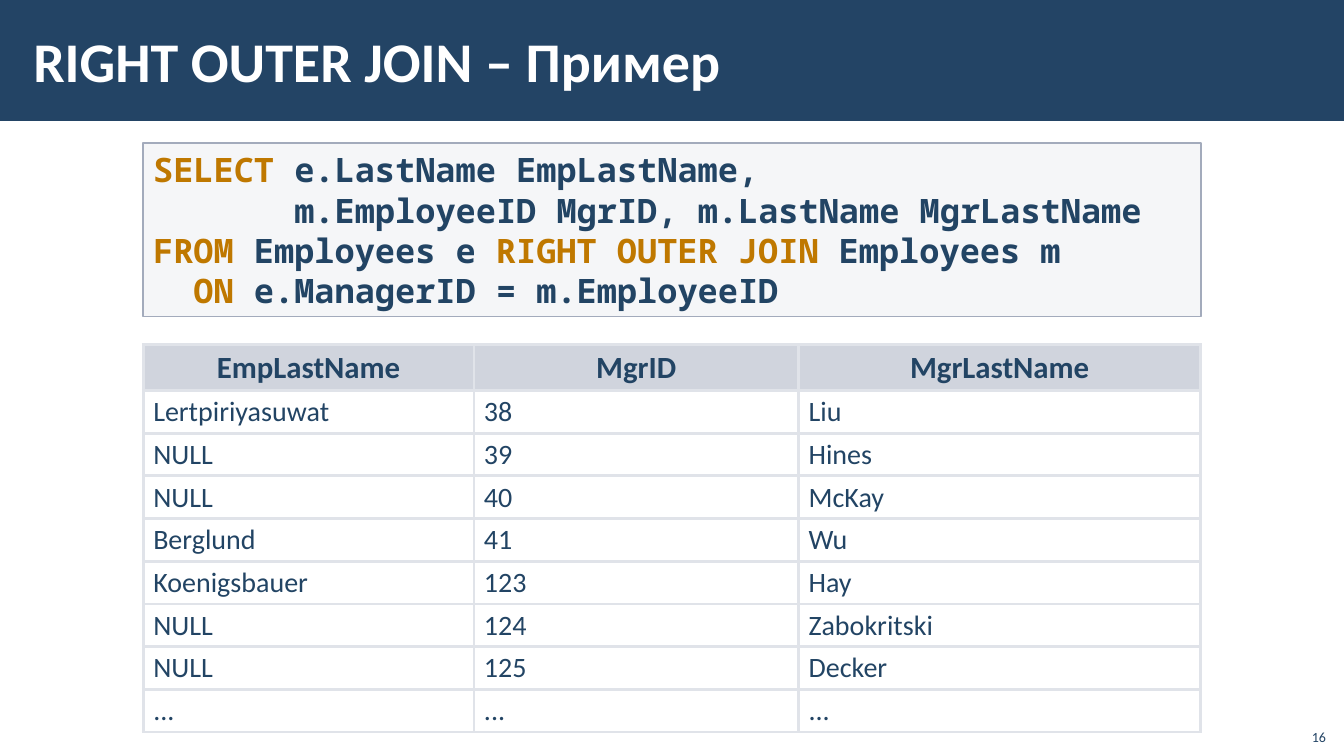
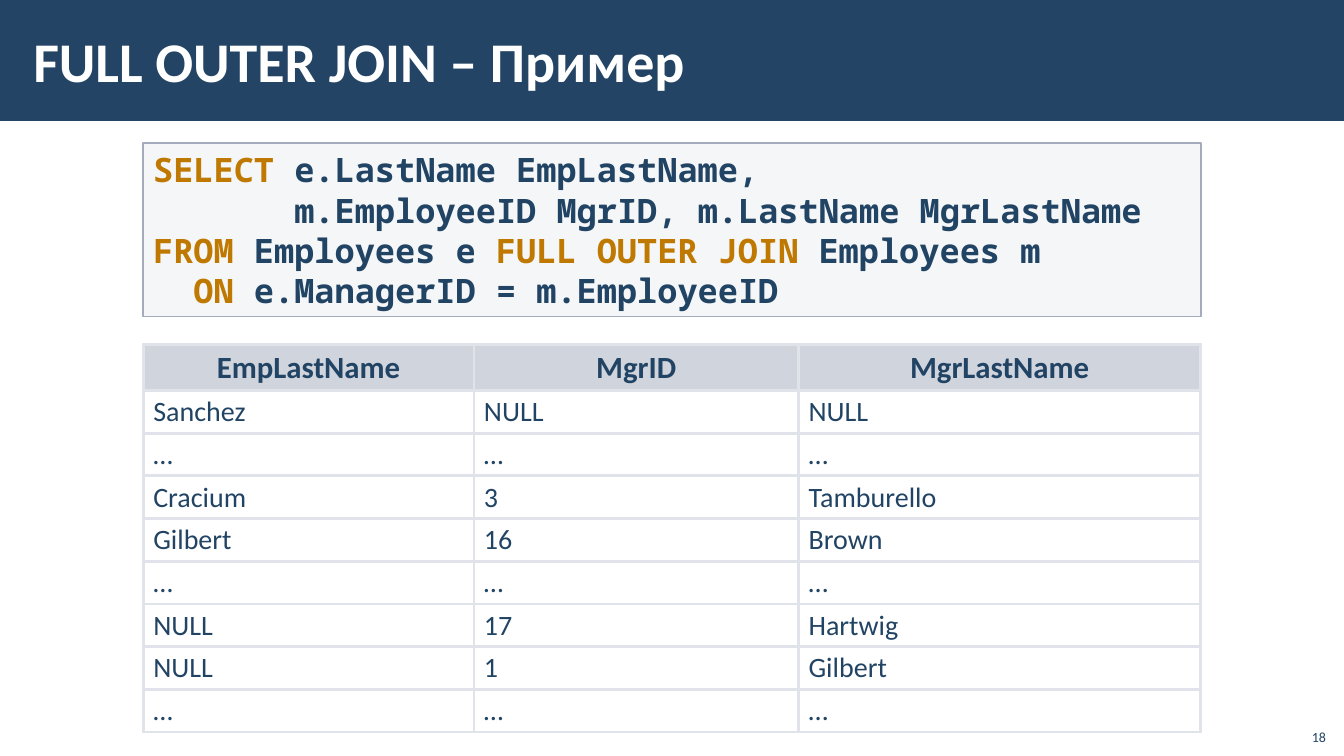
from lxml.etree import SubElement
from pptx import Presentation
from pptx.dml.color import RGBColor
from pptx.enum.shapes import MSO_SHAPE
from pptx.enum.text import MSO_ANCHOR, MSO_AUTO_SIZE, PP_ALIGN
from pptx.oxml.ns import qn
from pptx.util import Inches, Pt

# Content
HEADER = ("EmpLastName", "MgrID", "MgrLastName")
SLIDES = [
    {"join": "RIGHT OUTER JOIN", "number": 16, "rows": [
        ("Lertpiriyasuwat", "38", "Liu"),
        ("NULL", "39", "Hines"),
        ("NULL", "40", "McKay"),
        ("Berglund", "41", "Wu"),
        ("Koenigsbauer", "123", "Hay"),
        ("NULL", "124", "Zabokritski"),
        ("NULL", "125", "Decker"),
        ("...",) * 3]},
    {"join": "FULL OUTER JOIN", "number": 18, "rows": [
        ("Sanchez", "NULL", "NULL"),
        ("…",) * 3,
        ("Cracium", "3", "Tamburello"),
        ("Gilbert", "16", "Brown"),
        ("…",) * 3,
        ("NULL", "17", "Hartwig"),
        ("NULL", "1", "Gilbert"),
        ("…",) * 3]},
]


def query(join):
    """Lines of (text, colour name) spans."""
    return [
        [("SELECT ", "keyword"), ("e.LastName EmpLastName,", "text")],
        [("       m.EmployeeID MgrID, m.LastName MgrLastName", "text")],
        [("FROM ", "keyword"), ("Employees e ", "text"),
         (join + " ", "keyword"), ("Employees m", "text")],
        [("  ", "text"), ("ON ", "keyword"),
         ("e.ManagerID = m.EmployeeID", "text")],
    ]


# Shared look
COLORS = {"band": "234465", "white": "FFFFFF", "text": "224464",
          "keyword": "BF7800", "code": "C2C7D2", "line": "A3ABBC",
          "grid": "E0E3E9"}
SANS, MONO = "Calibri", "Noto Sans Mono"
WIDTH, HEIGHT = 13.33, 7.5
LEFT, CODE_TOP, TABLE_TOP = 1.42, 1.42, 3.42
COLUMNS = (3.28, 3.22, 3.99)
HEADER_HEIGHT, ROW_HEIGHT = 0.44, 0.41


def color(name):
    return RGBColor.from_string(COLORS[name])


def style(span, size, name, bold=False, face=SANS):
    span.font.size = Pt(size)
    span.font.name = face
    span.font.bold = bold
    span.font.color.rgb = color(name)


def paint(fill, holder, name, opacity=100):
    fill.solid()
    fill.fore_color.rgb = color(name)
    if opacity < 100:
        tone = holder.find(qn("a:solidFill")).find(qn("a:srgbClr"))
        SubElement(tone, qn("a:alpha"), val=str(opacity * 1000))


def add_panel(page, place, name, opacity=100):
    panel = page.shapes.add_shape(MSO_SHAPE.RECTANGLE, *map(Inches, place))
    panel.shadow.inherit = False
    paint(panel.fill, panel.element.spPr, name, opacity)
    panel.line.fill.background()
    return panel


def add_title(page, text):
    frame = page.shapes.title.text_frame
    frame.text = text
    frame.auto_size = MSO_AUTO_SIZE.NONE
    frame.vertical_anchor = MSO_ANCHOR.MIDDLE
    frame.margin_left = frame.margin_right = Inches(0.12)
    frame.margin_top = frame.margin_bottom = Inches(0.04)
    frame.paragraphs[0].alignment = PP_ALIGN.LEFT
    style(frame.paragraphs[0].runs[0], 40, "white", True)


def add_code(page, lines):
    box = add_panel(page, (LEFT, CODE_TOP, sum(COLUMNS), 1.72), "code", 15)
    box.line.color.rgb = color("line")
    box.line.width = Pt(1)
    frame = box.text_frame
    frame.word_wrap = True
    for index, line in enumerate(lines):
        para = frame.add_paragraph() if index else frame.paragraphs[0]
        para.alignment = PP_ALIGN.LEFT
        for text, name in line:
            span = para.add_run()
            span.text = text
            style(span, 24, name, True, MONO)


def outline(cell):
    """Cell borders; they come before the fill."""
    properties = cell._tc.get_or_add_tcPr()
    for side in ("a:lnL", "a:lnR", "a:lnT", "a:lnB"):
        line = SubElement(properties, qn(side), w=str(Pt(2.25)))
        fill = SubElement(line, qn("a:solidFill"))
        SubElement(fill, qn("a:srgbClr"), val=COLORS["grid"])
    return properties


def add_result(page, rows):
    cells = [HEADER, *rows]
    height = HEADER_HEIGHT + ROW_HEIGHT * len(rows)
    table = page.shapes.add_table(
        len(cells), len(COLUMNS), Inches(LEFT), Inches(TABLE_TOP),
        Inches(sum(COLUMNS)), Inches(height)).table
    table.horz_banding = False
    for column, width in zip(table.columns, COLUMNS):
        column.width = Inches(width)
    for r, values in enumerate(cells):
        head = r == 0
        table.rows[r].height = Inches(HEADER_HEIGHT if head else ROW_HEIGHT)
        for c, value in enumerate(values):
            cell = table.cell(r, c)
            properties = outline(cell)
            if head:
                paint(cell.fill, properties, "line", 50)
            else:
                cell.fill.background()
            cell.vertical_anchor = MSO_ANCHOR.MIDDLE
            cell.text_frame.text = value
            para = cell.text_frame.paragraphs[0]
            para.alignment = PP_ALIGN.CENTER if head else PP_ALIGN.LEFT
            para.line_spacing = 0.95
            style(para.runs[0], 22 if head else 20, "text", head)


def add_number(page, number):
    box = page.shapes.add_textbox(*map(Inches, (12.85, 7.12, 0.4, 0.32)))
    frame = box.text_frame
    frame.word_wrap = True
    frame.vertical_anchor = MSO_ANCHOR.BOTTOM
    frame.text = str(number)
    frame.paragraphs[0].alignment = PP_ALIGN.RIGHT
    style(frame.paragraphs[0].runs[0], 10, "band")


def prepare_layout(deck):
    """Title place and band, shared by all slides."""
    layout = deck.slide_layouts.get_by_name("Title Only")
    title = layout.placeholders[0]
    title.left, title.top, title.width, title.height = map(
        Inches, (0.21, 0.11, 11.23, 0.97))
    return layout


def main():
    deck = Presentation()
    deck.slide_width, deck.slide_height = Inches(WIDTH), Inches(HEIGHT)
    layout = prepare_layout(deck)
    for index, content in enumerate(SLIDES):
        page = deck.slides.add_slide(layout)
        if index == 0:
            # The band is drawn once, then moved behind the layout's parts
            band = add_panel(page, (0, 0, WIDTH, 1.2), "band")
            layout.shapes.element.insert(2, band.element)
        add_title(page, f"{content['join']} – Пример")
        add_code(page, query(content["join"]))
        add_result(page, content["rows"])
        add_number(page, content["number"])
    deck.save("out.pptx")


if __name__ == "__main__":
    main()
